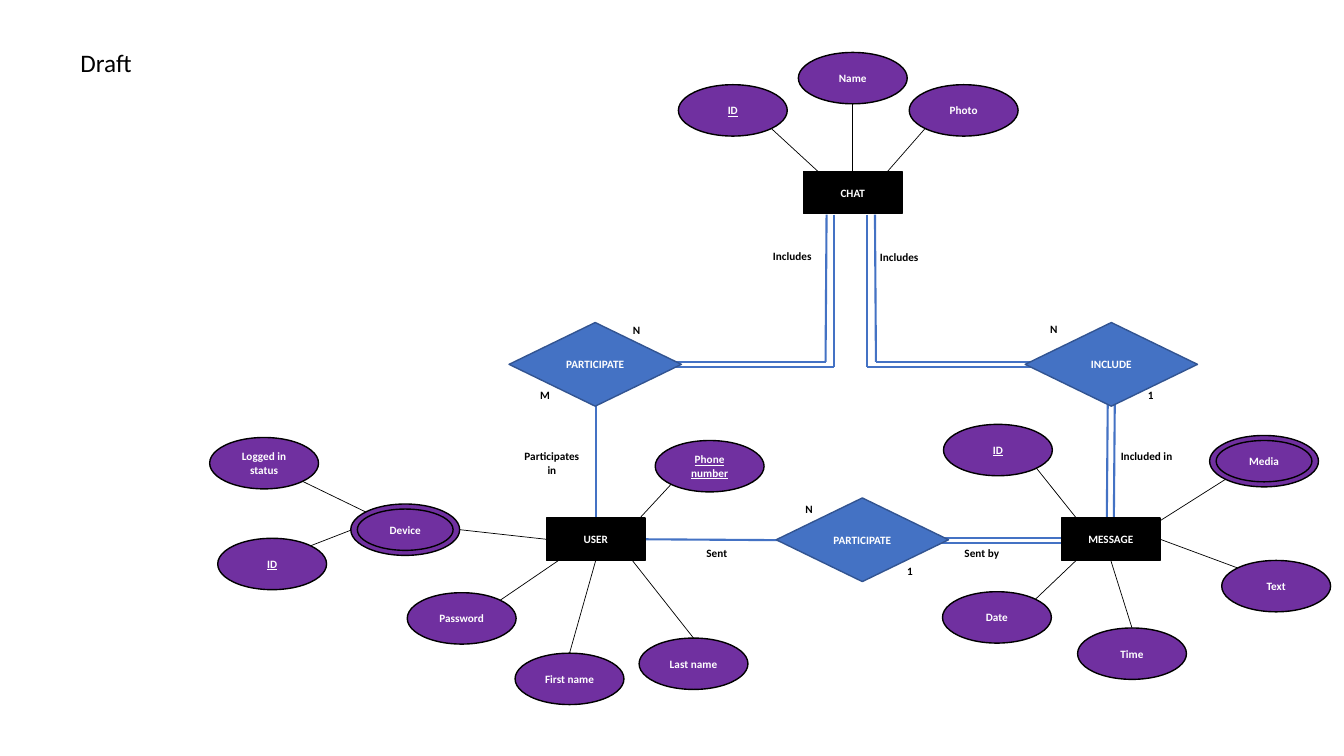
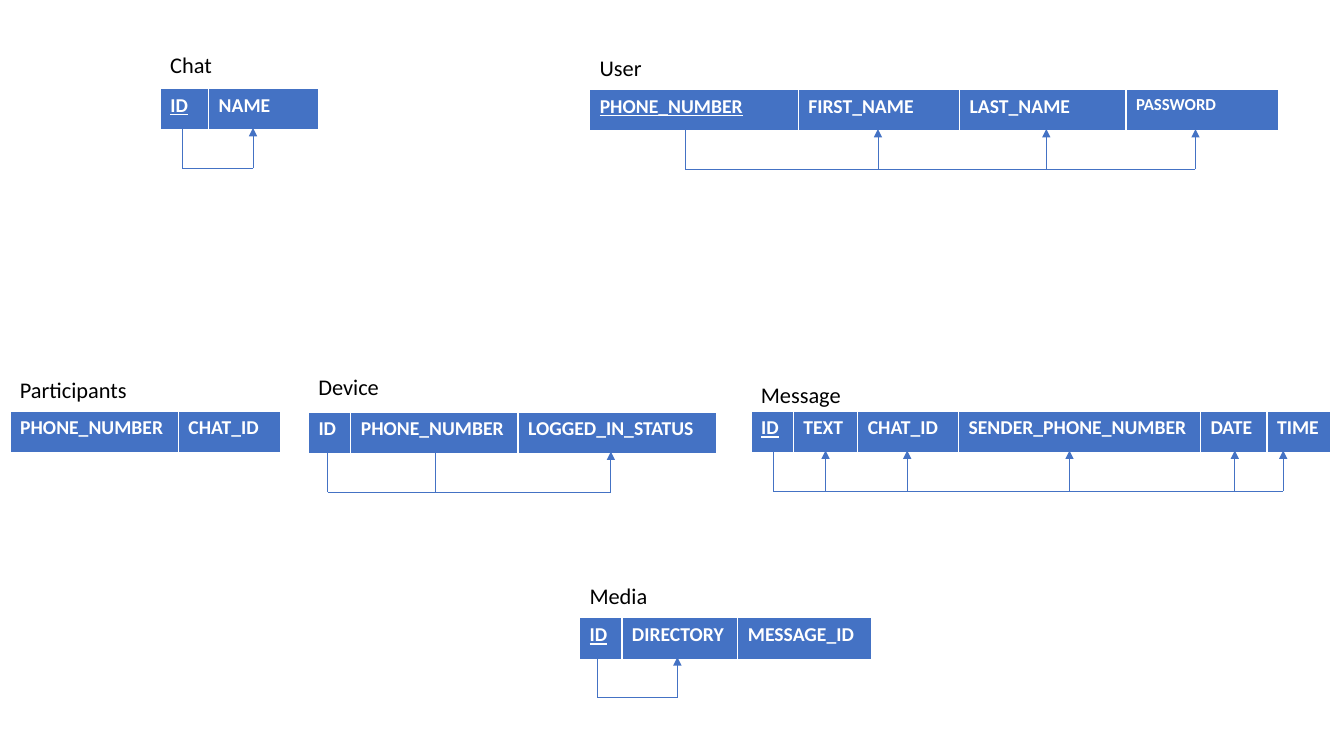
from itertools import pairwise

from pptx import Presentation
from pptx.dml.color import RGBColor
from pptx.enum.shapes import MSO_CONNECTOR, MSO_SHAPE
from pptx.enum.text import MSO_ANCHOR, MSO_AUTO_SIZE, PP_ALIGN
from pptx.oxml.ns import qn
from pptx.oxml.xmlchemy import OxmlElement
from pptx.util import Inches, Pt

STRAIGHT = MSO_CONNECTOR.STRAIGHT
OVAL, RECT, DIAMOND = MSO_SHAPE.OVAL, MSO_SHAPE.RECTANGLE, MSO_SHAPE.FLOWCHART_DECISION
LEFT, CENTER = PP_ALIGN.LEFT, PP_ALIGN.CENTER
MIDDLE, FIT = MSO_ANCHOR.MIDDLE, MSO_AUTO_SIZE.SHAPE_TO_FIT_TEXT

CELL = Inches(0.1)
COLS, ROWS = 133.33, 75
BLACK, WHITE, BLUE, NAVY, PURPLE = "000000", "FFFFFF", "4472C4", "325491", "7030A0"
DIAGONAL = 0.71

SMALL = {"name": "Calibri", "size": Pt(8), "bold": True}
SMALL_KEY = {**SMALL, "underline": True}
HEADING = {"name": "Calibri", "size": Pt(18)}
CAPTION = {"name": "Calibri", "size": Pt(16)}
FIELD = {"name": "Calibri", "size": Pt(14), "bold": True, "underline": False}
KEY_FIELD = {**FIELD, "underline": True}
SMALL_FIELD = {**FIELD, "size": Pt(12)}

ENTITY_SIZE, DIAMOND_SIZE = (9.8, 4.2), (17.1, 8.3)
OVAL_SIZE, INNER_SIZE = (10.8, 5.1), (9.5, 4.1)

ENTITIES = [("CHAT", 79.7, 17), ("USER", 54.2, 51.4), ("MESSAGE", 105.3, 51.4)]
RELATIONSHIPS = [("PARTICIPATE", 50.5, 32), ("INCLUDE", 101.7, 32), ("PARTICIPATE", 77, 49.4)]

ATTRIBUTES = [
    ("ID", "key", (67.3, 8.4), (1, 1), (81.9, 17.7)),
    ("Name", "plain", (79.2, 5.2), (0, 1), (84.6, 17)),
    ("Photo", "plain", (90.2, 8.4), (-1, 1), (85.7, 19.7)),
    ("ID", "key", (93.6, 42.1), (1, 1), (107.1, 51.8)),
    ("Media", "multi", (120, 43.2), (-1, 1), (114.4, 52.1)),
    ("Text", "plain", (121.2, 55.6), (-1, -1), (115.1, 53.5)),
    ("Date", "plain", (93.5, 58.7), (1, -1), (107.6, 54.8)),
    ("Time", "plain", (106.9, 62.3), (0, -1), (110.2, 55.6)),
    ("Phone number", "key", (65, 43.7), (-1, 1), (63.1, 51.8)),
    ("Last name", "plain", (63.4, 63.3), (0, -1), (62.1, 54.8)),
    ("Password", "plain", (40.4, 58.8), (1, -1), (56, 55.2)),
    ("First name", "plain", (51.1, 64.8), (0, -1), (59.1, 55.6)),
    ("Device", "multi", (34.8, 50), (1, 0), (54.2, 53.5)),
    ("Logged in status", "plain", (20.8, 43.4), (1, 1), (36.3, 50.8)),
    ("ID", "key", (21.6, 53.4), (1, -1), (34.8, 52.6)),
]

LINKS = [
    [(82.7, 21.3), (82.7, 36.4), (64.6, 36.4)],
    [(82, 21.3), (81.9, 35.9), (64.3, 35.9)],
    [(86, 21.3), (86, 36.4), (106.1, 36.4)],
    [(86.8, 21.3), (86.9, 35.9), (106.1, 35.9)],
    [(59.1, 40.2), (59.1, 51.4)],
    [(110.6, 39.1), (110.5, 51.4)],
    [(109.9, 39.4), (109.8, 51.7)],
    [(106.7, 53.4), (89.2, 53.4)],
    [(107.3, 53.9), (88.2, 53.9)],
    [(79.2, 53.6), (64, 53.5)],
]

ROLES = [
    ("Includes", 75.7, 24.2, 6.4),
    ("Includes", 86.3, 24.3, 6.4),
    ("Included in", 110.2, 44.1, 7.5),
    ("Sent", 69.1, 53.7, 6.4),
    ("Sent by", 94.7, 53.7, 6.4),
    ("N", 61.8, 31.6, 2.1),
    ("M", 52.6, 38, 2.1),
    ("N", 103.2, 31.5, 2.1),
    ("1", 112.9, 38, 2.1),
    ("1", 89, 55.5, 2.1),
    ("N", 78.9, 49.3, 2.1),
]

FIELD_HEIGHT, STEM_TOP, RAIL = 4.1, 3.9, 7.9
RELATIONS = [
    {"name": "User", "at": (58.5, 8.9), "title": (4.9, 49.8),
     "fields": [("PHONE_NUMBER", 20.7, KEY_FIELD), ("FIRST_NAME", 16, FIELD),
                ("LAST_NAME", 16.5, FIELD), ("PASSWORD", 15.1, SMALL_FIELD)],
     "stems": [68], "arrows": [87.1, 103.8, 118.6]},
    {"name": "Device", "at": (30.6, 40.9), "title": (36.5, 49.8),
     "fields": [("ID", 4.2, FIELD), ("PHONE_NUMBER", 16.6, FIELD),
                ("LOGGED_IN_STATUS", 19.7, FIELD)],
     "stems": [32.5, 43.2], "arrows": [60.6]},
    {"name": "Chat", "at": (15.9, 8.8), "title": (4.6, 25.4),
     "fields": [("ID", 4.8, KEY_FIELD), ("NAME", 10.9, FIELD)],
     "stems": [18.1], "arrows": [25.1]},
    {"name": "Participants", "at": (1, 40.8), "title": (36.8, 25.4),
     "fields": [("PHONE_NUMBER", 16.7, FIELD), ("CHAT_ID", 10.1, FIELD)],
     "stems": [], "arrows": []},
    {"name": "Message", "at": (74.5, 40.8), "title": (37.3, 49.8),
     "fields": [("ID", 4.2, KEY_FIELD), ("TEXT", 6.4, FIELD), ("CHAT_ID", 10, FIELD),
                ("SENDER_PHONE_NUMBER", 24, FIELD), ("DATE", 6.6, FIELD), ("TIME", 6.3, FIELD)],
     "stems": [76.7], "arrows": [81.9, 90, 106.1, 122.5, 127.3]},
    {"name": "Media", "at": (57.5, 61.3), "title": (57.3, 49.8),
     "fields": [("ID", 4.2, KEY_FIELD), ("DIRECTORY", 11.5, FIELD), ("MESSAGE_ID", 13.3, FIELD)],
     "stems": [59.3], "arrows": [67.2]},
]


def rgb(value):
    return RGBColor.from_string(value)


def grid(*cells):
    return [round(c * CELL) for c in cells]


def write(tf, text, fmt, color, align=LEFT):
    p = tf.paragraphs[0]
    p.alignment = align
    r = p.add_run()
    r.text = text
    for name, value in fmt.items():
        setattr(r.font, name, value)
    r.font.color.rgb = rgb(color)


def add_label(s, text, at, size, fmt, align=LEFT):
    tf = s.shapes.add_textbox(*grid(*at, *size)).text_frame
    tf.word_wrap = True
    tf.auto_size = FIT
    write(tf, text, fmt, BLACK, align)


def add_node(s, kind, text, at, size, fill, line=BLACK, fmt=SMALL):
    sp = s.shapes.add_shape(kind, *grid(*at, *size))
    sp.shadow.inherit = False
    sp.fill.solid()
    sp.fill.fore_color.rgb = rgb(fill)
    sp.line.color.rgb = rgb(line)
    sp.line.width = Pt(1)
    if text:
        sp.text_frame.vertical_anchor = MIDDLE
        write(sp.text_frame, text, fmt, WHITE, CENTER)


def add_line(s, start, end, color, width, arrow=False):
    line = s.shapes.add_connector(STRAIGHT, *grid(*start, *end))
    line.line.color.rgb = rgb(color)
    line.line.width = Pt(width)
    props = line._element.spPr
    if arrow:
        tail = OxmlElement("a:tailEnd")
        tail.set("type", "triangle")
        props.find(qn("a:ln")).append(tail)
    props.append(OxmlElement("a:effectLst"))


def oval_edge(at, side):
    reach = DIAGONAL if all(side) else 1
    return [a + size / 2 * (1 + d * reach) for a, size, d in zip(at, OVAL_SIZE, side)]


def add_attribute(s, text, kind, at):
    fmt = SMALL_KEY if kind == "key" else SMALL
    if kind == "multi":
        add_node(s, OVAL, "", at, OVAL_SIZE, PURPLE)
        inner = [a + (o - i) / 2 for a, o, i in zip(at, OVAL_SIZE, INNER_SIZE)]
        add_node(s, OVAL, text, inner, INNER_SIZE, PURPLE, fmt=fmt)
    else:
        add_node(s, OVAL, text, at, OVAL_SIZE, PURPLE, fmt=fmt)


def add_relation(s, name, at, title, fields, stems, arrows):
    x, y = at
    title_row, title_width = title
    add_label(s, name, (x, title_row), (title_width, 3.7), CAPTION)
    width = sum(w for _, w, _ in fields)
    table = s.shapes.add_table(1, len(fields), *grid(x, y, width, FIELD_HEIGHT)).table
    table.horz_banding = False
    for i, (text, cols, fmt) in enumerate(fields):
        table.columns[i].width = grid(cols)[0]
        cell = table.cell(0, i)
        cell.fill.solid()
        cell.fill.fore_color.rgb = rgb(BLUE)
        write(cell.text_frame, text, fmt, WHITE)
    feet = stems + arrows
    if feet:
        add_line(s, (min(feet), y + RAIL), (max(feet), y + RAIL), BLUE, 0.5)
    for foot in feet:
        add_line(s, (foot, y + RAIL), (foot, y + STEM_TOP), BLUE, 0.5, foot in arrows)


def build_diagram(s):
    for points in LINKS:
        for start, end in pairwise(points):
            add_line(s, start, end, BLUE, 1.5)
    for _, _, at, side, owner in ATTRIBUTES:
        add_line(s, owner, oval_edge(at, side), BLACK, 0.5)
    for text, kind, at, _, _ in ATTRIBUTES:
        add_attribute(s, text, kind, at)
    for text, *at in ENTITIES:
        add_node(s, RECT, text, at, ENTITY_SIZE, BLACK)
    for text, *at in RELATIONSHIPS:
        add_node(s, DIAMOND, text, at, DIAMOND_SIZE, BLUE, NAVY)
    for text, x, y, width in ROLES:
        add_label(s, text, (x, y), (width, 2.4), SMALL)
    add_label(s, "Participates in", (51, 44.1), (7.5, 3.7), SMALL, CENTER)
    add_label(s, "Draft", (7, 4.2), (49.8, 4), HEADING)


def build_schema(s):
    for relation in RELATIONS:
        add_relation(s, **relation)


def main():
    prs = Presentation()
    prs.slide_width, prs.slide_height = grid(COLS, ROWS)
    for build in (build_diagram, build_schema):
        build(prs.slides.add_slide(prs.slide_layouts[6]))
    prs.save("out.pptx")


if __name__ == "__main__":
    main()
